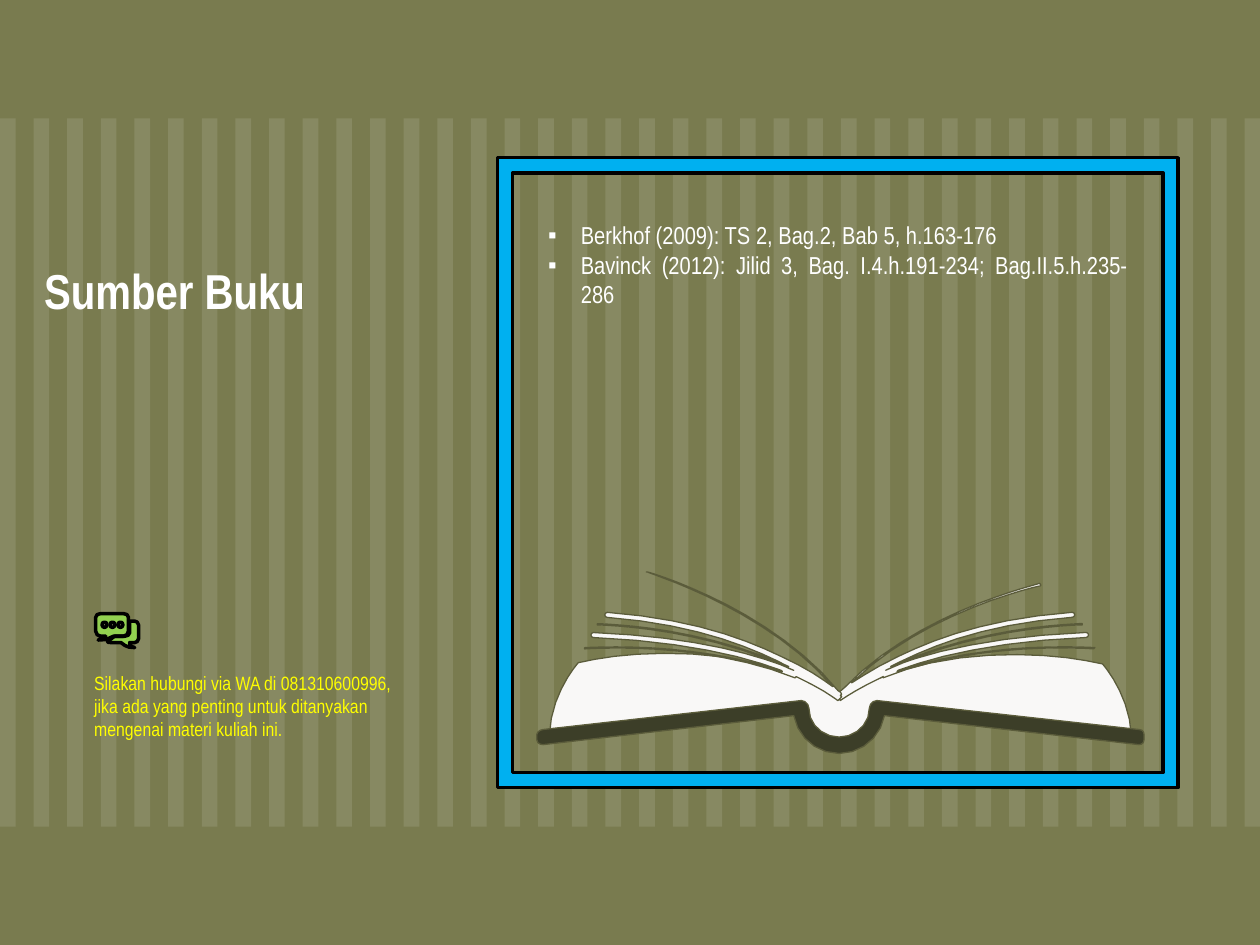
from math import ceil, dist, sqrt

from lxml.etree import SubElement as Sub
from pptx import Presentation
from pptx.dml.color import RGBColor as RGB
from pptx.enum.shapes import MSO_SHAPE as Form
from pptx.enum.text import MSO_ANCHOR as Anchor, PP_ALIGN as Align
from pptx.oxml.ns import qn
from pptx.util import Cm, Pt

hues = {
    "back": "797B4F", "white": "FFFFFF", "note": "FFFF00", "chat": "92D050",
    "black": "000000", "page": "F9F8F7", "edge": "5B5C3B", "spine": "3C3E28",
    "frame": "00B0F0",
}
hues = {name: RGB.from_string(code) for name, code in hues.items()}


def write(text, left, top, width, height, size=14, hue="white", bold=False,
          anchor=Anchor.TOP, align=Align.LEFT, gap=None, mark=None):
    """Add a text box with one paragraph per line; mark is the bullet."""
    box = slide.shapes.add_textbox(Cm(left), Cm(top), Cm(width), Cm(height))
    frame = box.text_frame
    frame.word_wrap = True
    frame.vertical_anchor = anchor
    for i, line in enumerate(text.split("\n")):
        para = frame.add_paragraph() if i else frame.paragraphs[0]
        para.alignment = align
        if gap:
            para.line_spacing = gap
        if mark:
            props = para._p.get_or_add_pPr()
            props.set("marL", str(Cm(0.66)))
            props.set("indent", str(Cm(-0.66)))
            Sub(props, qn("a:buFont"), typeface="Arial")
            Sub(props, qn("a:buChar"), char=mark)
        run = para.add_run()
        run.text = line
        run.font.name = "Arial Narrow"
        run.font.size = Pt(size)
        run.font.bold = bold
        run.font.color.rgb = hues[hue]


def draw(home, trace, fill, line=None, wide=0.75):
    """Draw closed outlines from M, L and C marks, in hundredths of an inch.

    Curves become as few straight steps as their bend allows.
    """
    pen = None
    for part in trace.split("M")[1:]:
        mode, spots, ctrl = "L", [], []
        for word in part.replace("L", " L ").replace("C", " C ").split():
            if word in "LC":
                mode = word
                continue
            spot = tuple(10 * float(n) for n in word.split(","))
            if mode == "L":
                spots.append(spot)
                continue
            ctrl.append(spot)
            if len(ctrl) == 3:
                curve = list(zip(spots[-1], *ctrl))
                bend = max(dist([a + c for a, b, c, d in curve], [2 * b for a, b, c, d in curve]),
                           dist([b + d for a, b, c, d in curve], [2 * c for a, b, c, d in curve]))
                steps = max(1, ceil(sqrt(0.75 * bend / 5)))
                for t in (k / steps for k in range(1, steps + 1)):
                    u = 1 - t
                    spot = tuple(
                        u**3 * a + 3 * u * u * t * b + 3 * u * t * t * c + t**3 * d
                        for a, b, c, d in curve)
                    if spot != spots[-1]:
                        spots.append(spot)
                ctrl = []
        if pen is None:
            pen = home.build_freeform(*spots[0], scale=Cm(2.54) / 1000)
        else:
            pen.move_to(*spots[0])
        if spots[-1] == spots[0]:
            spots.pop()
        # The closing side returns to the start without a point of its own
        pen.add_line_segments(spots[1:], close=True)
    shape = pen.convert_to_shape()
    shape.shadow.inherit = False
    shape.fill.solid()
    shape.fill.fore_color.rgb = hues[fill]
    if line:
        shape.line.color.rgb = hues[line]
        shape.line.width = Pt(wide)
    else:
        shape.line.fill.background()
    return shape


deck = Presentation()
deck.slide_width, deck.slide_height = Cm(25.4), Cm(19.05)
slide = deck.slides.add_slide(deck.slide_layouts[6])
slide.background.fill.solid()
slide.background.fill.fore_color.rgb = hues["back"]

# Pale stripes across the middle band
bars = ""
for i in range(38):
    x = 26.7 * i
    y = x + 12.4
    bars += f"M{x},94 L{y},94 {y},656 {x},656 "
stripes = draw(slide.shapes, bars, "white")
tint = stripes.fill._xPr.find(qn("a:solidFill"))[0]
Sub(tint, qn("a:alpha"), val="11000")

write("Berkhof (2009): TS 2, Bag.2, Bab 5, h.163-176\n"
      "Bavinck (2012): Jilid 3, Bag. I.4.h.191-234; Bag.II.5.h.235-286",
      10.8, 4.32, 12.19, 2.06, align=Align.JUSTIFY, mark="▪")
write("Sumber Buku", 0.64, 3.91, 9.09, 4.01, size=28, bold=True,
      anchor=Anchor.MIDDLE, gap=0.9)
write("Silakan hubungi via WA di 081310600996, jika ada yang penting untuk "
      "ditanyakan mengenai materi kuliah ini.",
      1.65, 13.41, 6.68, 1.73, size=11, hue="note")

# Chat icon: three dots and two bubbles
chat = ""
for x in (83, 89.3, 95.6):
    chat += (f"M{x},494 C{x - 1},494 {x - 2},494 {x - 2},496 {x - 2},497 {x - 1},498 {x},498 "
             f"{x + 1},498 {x + 2},497 {x + 2},496 {x + 2},494 {x + 1},494 {x},494 ")
chat += ("M103,493 L107,493 C108,493 110,494 110,496 L110,507 C110,509 108,510 107,510 "
         "L103,510 C103,512 103,513 107,514 101,514 100,513 96,510 "
         "L88,510 C86,510 85,510 85,508 87,508 89,507 91,505 "
         "L99,505 C101,505 103,504 103,502 "
         "M80,487 L98,487 C100,487 102,488 102,490 L102,501 C102,503 100,505 98,505 "
         "L90,505 C86,507 84,508 78,508 82,506 82,506 84,505 "
         "L80,505 C78,505 76,503 76,501 L76,490 C76,488 78,487 80,487")
draw(slide.shapes, chat, "chat", "black", 2)

# Open book
pages = ("M875,527 C838,518 742,509 667,553 L667,552 C592,508 496,517 459,526 "
         "459,526 437,550 436,584 L637,559 C637,575 650,588 667,589 L667,590 "
         "C683,590 697,576 697,560 L898,585 C897,551 875,527 875,527")
spine = ("M666,598 C648,598 633,585 630,568 L431,591 C429,591 426,590 426,587 "
         "L426,583 C426,581 429,579 431,579 L636,556 C639,556 642,559 642,562 "
         "642,575 653,585 666,585 679,585 690,575 690,562 690,559 693,556 696,556 "
         "L904,579 C907,579 908,581 908,583 L908,587 C908,590 906,591 904,591 "
         "L702,568 C699,585 684,598 666,598")
right = ("M868,514 C867,514 784,508 712,533 L713,532 "
         "C742,521 791,509 862,506 863,506 864,505 864,504 864,503 863,502 862,502 "
         "790,505 740,517 711,528 708,530 705,531 703,532 777,497 858,496 859,496 "
         "L859,495 C858,495 780,496 707,529 "
         "710,528 712,526 715,525 744,511 785,495 851,490 852,490 853,489 853,488 "
         "853,487 852,486 851,486 784,491 742,507 713,521 696,529 684,537 676,542 "
         "734,485 825,465 826,465 L826,464 825,463 "
         "C824,464 729,485 670,546 667,549 665,550 665,550 L666,552 665,553 667,556 "
         "C667,556 678,548 701,537 L701,538 C775,508 867,515 868,515 L869,514")
left = ("M668,553 L667,552 668,551 C668,550 667,549 665,548 "
        "611,482 515,454 514,454 L513,454 514,454 "
        "C514,455 607,482 661,545 653,539 640,530 620,521 591,507 549,491 482,486 "
        "481,486 480,487 480,488 480,489 481,490 482,490 547,495 589,511 618,525 "
        "620,526 623,528 626,529 553,496 475,495 474,495 L474,496 "
        "C475,496 556,497 630,532 627,531 625,530 621,528 "
        "592,517 543,505 471,502 470,502 469,503 469,504 469,505 470,506 471,506 "
        "542,509 591,521 620,532 L621,533 C549,508 465,514 464,514 "
        "L464,515 C465,515 557,508 631,538 L632,537 "
        "C655,548 665,556 665,556")
book = slide.shapes.add_group_shape().shapes
for trace, fill in ((pages, "page"), (spine, "spine"), (right, "page"), (left, "page")):
    draw(book, trace, fill, "edge")

frame = slide.shapes.add_shape(Form.FRAME, Cm(10.03), Cm(3.18), Cm(13.72), Cm(12.7))
frame.adjustments[0] = 0.024
frame.shadow.inherit = False
frame.fill.solid()
frame.fill.fore_color.rgb = hues["frame"]
frame.line.color.rgb = hues["black"]
frame.line.width = Pt(2)

deck.save("out.pptx")
